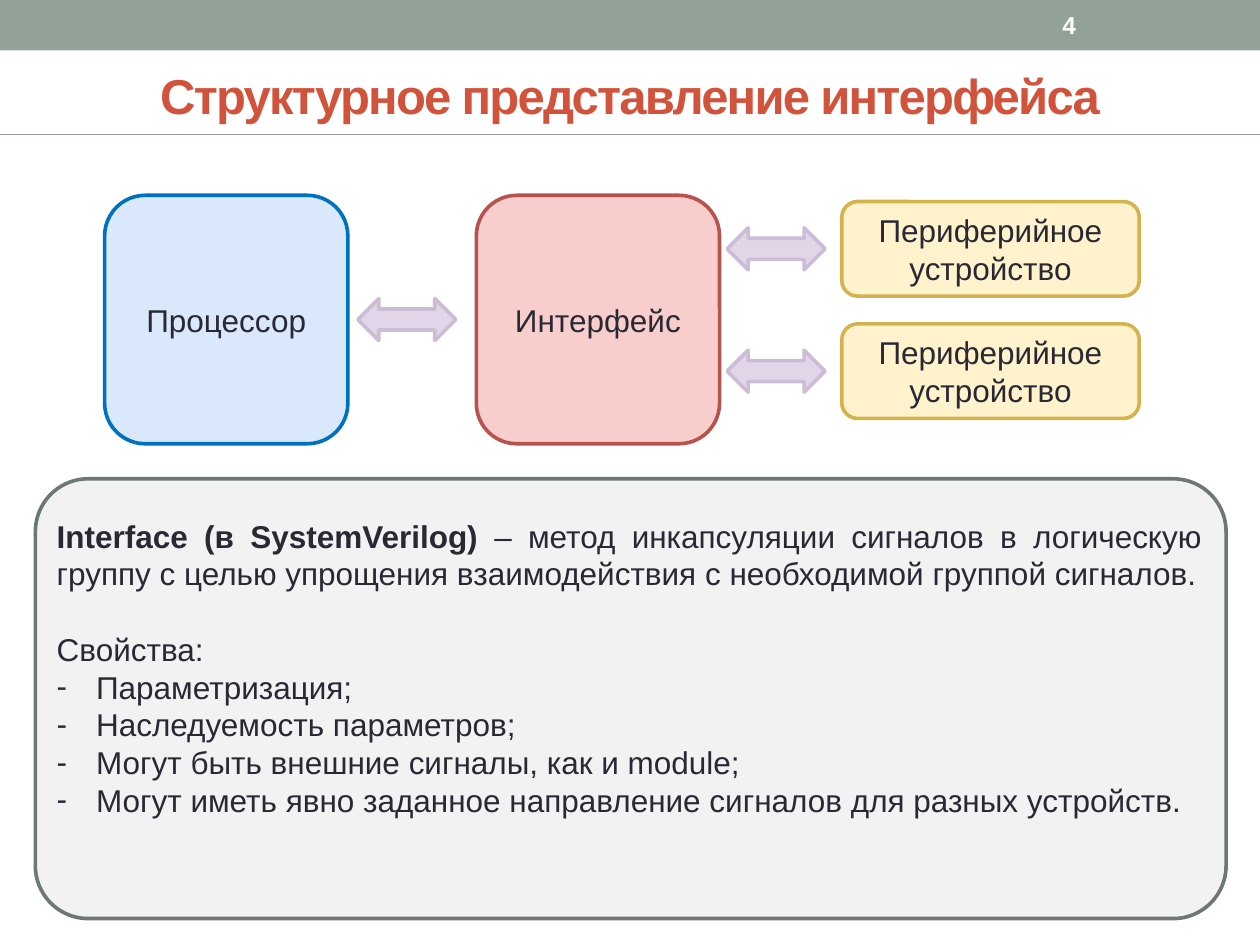
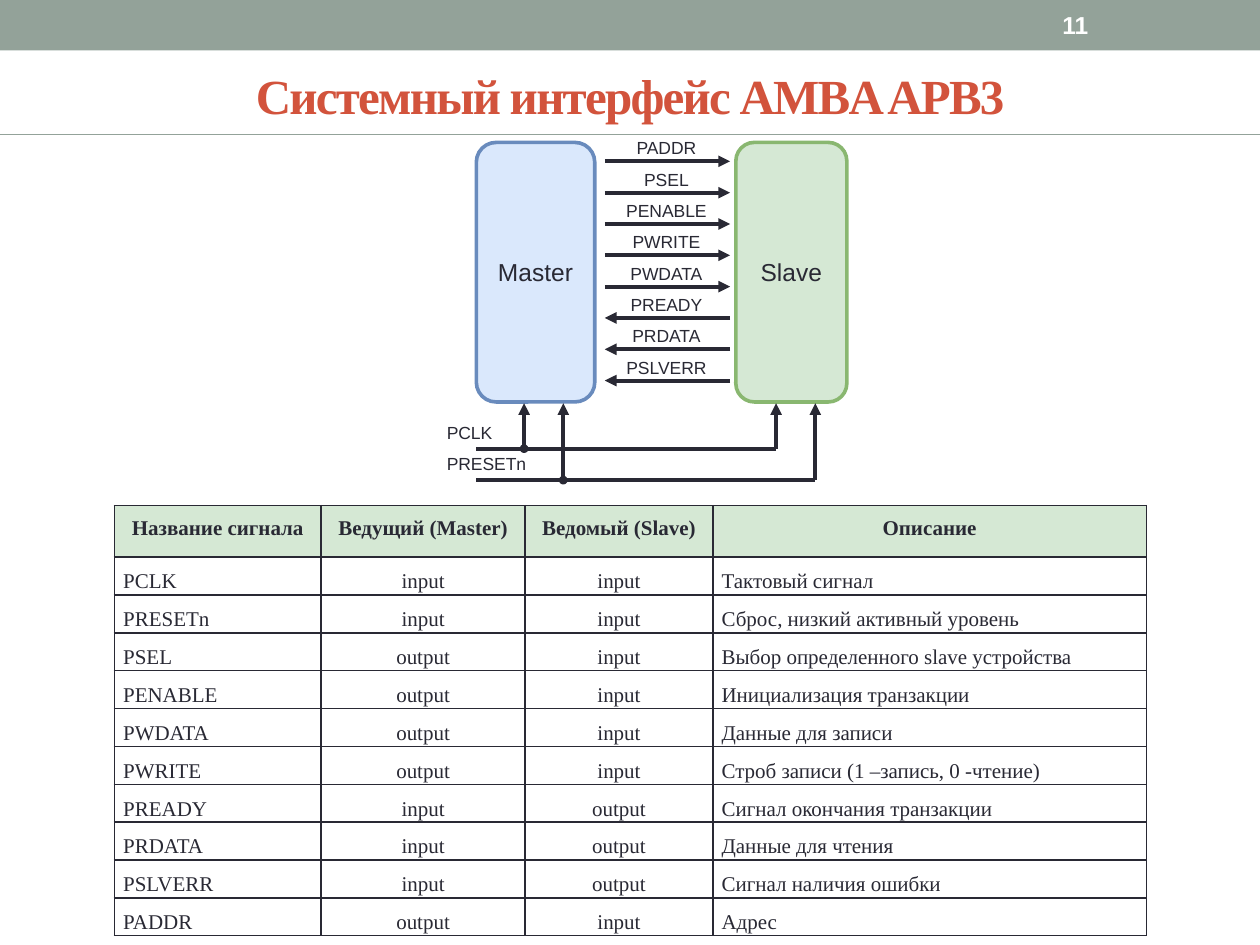
from lxml import etree
from pptx import Presentation
from pptx import util as u
from pptx.dml import color
from pptx.enum import shapes, text
from pptx.oxml import ns

COLORS = {
    "band": "93A299", "title": "D2533C", "ink": "292934", "white": "FFFFFF",
    "blue": "DAE8FC", "processor_line": "0070C0", "master_line": "698BBD",
    "red": "F8CECC", "red_line": "B7524E",
    "yellow": "FFF2CC", "yellow_line": "D4B34F",
    "purple": "E1D5E7", "purple_line": "CDBCD6",
    "green": "D5E8D4", "green_line": "89B770", "panel_line": "6D7871",
}
SANS, SERIF = "Arial", "Times New Roman"
OUTLINE = 2.08
RECT = shapes.MSO_SHAPE.RECTANGLE
ROUNDED = shapes.MSO_SHAPE.ROUNDED_RECTANGLE
ALIGN = text.PP_ALIGN
MIDDLE = text.MSO_ANCHOR.MIDDLE


def rgb(name):
    return color.RGBColor.from_string(COLORS[name])


def points(*values):
    return [u.Pt(value) for value in values]


def add_xml(parent, tag, **attributes):
    return etree.SubElement(parent, ns.qn(tag), attributes)


def add_run(paragraph, content, size, font=SANS, ink="ink", bold=False):
    run = paragraph.add_run()
    run.text = content
    run.font.size = u.Pt(size)
    run.font.name = font
    run.font.bold = bold
    run.font.color.rgb = rgb(ink)
    return run


def add_box(slide, kind, box, fill, line=None, label=None, size=18, width=OUTLINE):
    shape = slide.shapes.add_shape(kind, *points(*box))
    shape.shadow.inherit = False
    shape.fill.solid()
    shape.fill.fore_color.rgb = rgb(fill)
    if line:
        shape.line.color.rgb = rgb(line)
        shape.line.width = u.Pt(width)
    else:
        shape.line.fill.background()
    if label:
        shape.text_frame.vertical_anchor = MIDDLE
        paragraph = shape.text_frame.paragraphs[0]
        paragraph.alignment = ALIGN.CENTER
        add_run(paragraph, label, size)
    return shape


def add_line(slide, start, end, ink="ink", width=2.25, arrow=False):
    line = slide.shapes.add_connector(
        shapes.MSO_CONNECTOR.STRAIGHT, *points(*start, *end))
    line.line.color.rgb = rgb(ink)
    line.line.width = u.Pt(width)
    if arrow:
        add_xml(line.line._get_or_add_ln(), "a:tailEnd", type="triangle")
    add_xml(line.element.spPr, "a:effectLst")


def add_label(slide, box, content, align, size=10, wrap=False, **style):
    label = slide.shapes.add_textbox(*points(*box))
    label.text_frame.word_wrap = wrap
    label.text_frame.vertical_anchor = MIDDLE
    paragraph = label.text_frame.paragraphs[0]
    paragraph.alignment = align
    add_run(paragraph, content, size, **style)


def place(shape, box):
    shape.left, shape.top, shape.width, shape.height = points(*box)


def add_header(slide, title, number, font):
    add_box(slide, RECT, (0, 0, 720, 28.8), "band")
    place(slide.shapes.title, (0, 31.7, 720, 45.4))
    frame = slide.shapes.title.text_frame
    frame.auto_size = text.MSO_AUTO_SIZE.NONE
    frame.vertical_anchor = MIDDLE
    paragraph = frame.paragraphs[0]
    paragraph.alignment = ALIGN.CENTER
    run = add_run(paragraph, title, 28, font, "title", True)
    run.font._element.set("spc", "-100")
    add_line(slide, (720, 77), (0, 77), "band", 0.75)
    add_label(slide, (600, 1.4, 84, 26), number, ALIGN.LEFT, 14, True,
              ink="white", bold=True)


def add_structure(slide, left, top):
    block_width, block_height = 139, 142
    interface_left, device_left = 212.4, 421.2
    device_width, device_height = 170, 54
    arrow_width, arrow_height = 56, 24

    def add_arrow(offset, middle):
        add_box(slide, shapes.MSO_SHAPE.LEFT_RIGHT_ARROW,
                (left + offset, top + middle - arrow_height / 2,
                 arrow_width, arrow_height), "purple", "purple_line")

    for label, offset, fill, line in (
            ("Процессор", 0, "blue", "processor_line"),
            ("Интерфейс", interface_left, "red", "red_line")):
        add_box(slide, ROUNDED, (left + offset, top, block_width, block_height),
                fill, line, label)
    add_arrow(144.7, block_height / 2)
    for device_top in (3.6, 73.5):
        add_box(slide, ROUNDED,
                (left + device_left, top + device_top, device_width, device_height),
                "yellow", "yellow_line", "Периферийное устройство")
        add_arrow(355.7, device_top + device_height / 2)


def add_definition(slide, left, top, width, height):
    panel = add_box(slide, ROUNDED, (left, top, width, height), "ink", "panel_line")
    panel.adjustments[0] = 0.12
    fill_color = panel.element.spPr.find(".//" + ns.qn("a:srgbClr"))
    add_xml(fill_color, "a:alpha", val="6000")

    body = slide.placeholders[1]
    body.element.addprevious(panel.element)
    place(body, (left + 5, top + 18, width - 11.5, 181.4))
    frame = body.text_frame
    frame.auto_size = text.MSO_AUTO_SIZE.NONE
    frame.vertical_anchor = text.MSO_ANCHOR.TOP

    def add_paragraph(paragraph, *runs, bullet=False, gap=0):
        paragraph.alignment = ALIGN.JUSTIFY
        paragraph.space_before = u.Pt(gap)
        properties = paragraph._p.get_or_add_pPr()
        indent = u.Pt(22.5) if bullet else 0
        properties.set("marL", str(indent))
        properties.set("indent", str(-indent))
        if bullet:
            add_xml(properties, "a:buChar", char="-")
        else:
            add_xml(properties, "a:buNone")
        for content, bold in runs:
            add_run(paragraph, content, 18, bold=bold)

    add_paragraph(
        frame.paragraphs[0],
        ("Interface (в SystemVerilog) ", True),
        ("– метод инкапсуляции сигналов в логическую группу с целью упрощения "
         "взаимодействия с необходимой группой сигналов.", False))
    add_paragraph(frame.add_paragraph(), ("Свойства:", False), gap=21.5)
    for item in ("Параметризация;", "Наследуемость параметров;",
                 "Могут быть внешние сигналы, как и module;",
                 "Могут иметь явно заданное направление сигналов для разных устройств."):
        add_paragraph(frame.add_paragraph(), (item, False), bullet=True)


def add_bus(slide, left, top):
    master_left, slave_left, block_height = left + 24, left + 172.3, 148.3
    add_box(slide, ROUNDED, (slave_left, top, 63.4, block_height),
            "green", "green_line", "Slave", 14)
    add_box(slide, ROUNDED, (master_left, top, 67.7, block_height),
            "blue", "master_line", "Master", 14)

    signals = ("PADDR", "PSEL", "PENABLE", "PWRITE", "PWDATA",
               "PREADY", "PRDATA", "PSLVERR")
    wire_left, wire_right = left + 97.4, left + 169
    for index, signal in enumerate(signals):
        y = top + 10.8 + 17.9 * index
        ends = [(wire_left, y), (wire_right, y)]
        if index >= 5:
            ends.reverse()
        add_line(slide, *ends, arrow=True)
        add_label(slide, (left + 102, y - 17.3, 61.2, 19.4), signal, ALIGN.CENTER)

    dot = 2.9
    for index, signal in enumerate(("PCLK", "PRESETn")):
        y = top + 175 + 18 * index
        master_x = left + 51.3 + 22.4 * index
        slave_x = master_x + 144
        add_line(slide, (master_left, y), (slave_x, y))
        for x in (master_x, slave_x):
            add_line(slide, (x, y), (x, top + block_height + 0.7), arrow=True)
        add_box(slide, shapes.MSO_SHAPE.OVAL,
                (master_x - dot / 2, y - dot / 2, dot, dot), "ink", "ink")
        add_label(slide, (left, y - 19, 60, 19.4), signal, ALIGN.LEFT)


def format_cell(cell, content, align, header):
    cell.margin_left = cell.margin_right = u.Pt(5)
    cell.margin_top = cell.margin_bottom = 0
    cell.vertical_anchor = text.MSO_ANCHOR.TOP if header else MIDDLE
    if header:
        cell.fill.solid()
        cell.fill.fore_color.rgb = rgb("green")
    else:
        cell.fill.background()
    properties = cell._tc.get_or_add_tcPr()
    for position, side in enumerate(("a:lnL", "a:lnR", "a:lnT", "a:lnB")):
        border = add_xml(properties, side, w=str(u.Pt(1)))
        add_xml(add_xml(border, "a:solidFill"), "a:srgbClr", val=COLORS["ink"])
        properties.insert(position, border)
    paragraph = cell.text_frame.paragraphs[0]
    paragraph.alignment = align
    paragraph.line_spacing = 1.5
    add_run(paragraph, content, 12, SERIF, bold=header)


def add_signal_table(slide, left, top):
    rows = (
        ("Название сигнала", "Ведущий (Master)", "Ведомый (Slave)", "Описание"),
        ("PCLK", "input", "input", "Тактовый сигнал"),
        ("PRESETn", "input", "input", "Сброс, низкий активный уровень"),
        ("PSEL", "output", "input", "Выбор определенного slave устройства"),
        ("PENABLE", "output", "input", "Инициализация транзакции"),
        ("PWDATA", "output", "input", "Данные для записи"),
        ("PWRITE", "output", "input", "Строб записи (1 –запись, 0 -чтение)"),
        ("PREADY", "input", "output", "Сигнал окончания транзакции"),
        ("PRDATA", "input", "output", "Данные для чтения"),
        ("PSLVERR", "input", "output", "Сигнал наличия ошибки"),
        ("PADDR", "output", "input", "Адрес"),
    )
    widths = (118.1, 116.6, 107.3, 247.7)
    heights = [29.5] + [20] * (len(rows) - 1)
    table = slide.shapes.add_table(
        len(rows), len(widths),
        *points(left, top, sum(widths), sum(heights))).table
    table.first_row = table.horz_banding = False
    for column, width in zip(table.columns, widths):
        column.width = u.Pt(width)
    for row_index, (row, height) in enumerate(zip(rows, heights)):
        table.rows[row_index].height = u.Pt(height)
        header = row_index == 0
        for column_index, content in enumerate(row):
            centred = header or column_index in (1, 2)
            format_cell(table.cell(row_index, column_index), content,
                        ALIGN.CENTER if centred else ALIGN.JUSTIFY, header)


def build_interface_slide(presentation):
    slide = presentation.slides.add_slide(presentation.slide_layouts[1])
    add_header(slide, "Структурное представление интерфейса", "4", SANS)
    add_structure(slide, 59.8, 111.6)
    add_definition(slide, 20.2, 273.6, 680.4, 251.3)


def build_bus_slide(presentation):
    slide = presentation.slides.add_slide(presentation.slide_layouts[5])
    add_header(slide, "Системный интерфейс AMBA APB3", "11", SERIF)
    add_signal_table(slide, 65.4, 288.9)
    add_bus(slide, 248.2, 81.4)


def main():
    presentation = Presentation()
    presentation.slide_width, presentation.slide_height = points(720, 540)
    build_interface_slide(presentation)
    build_bus_slide(presentation)
    presentation.save("out.pptx")


if __name__ == "__main__":
    main()
